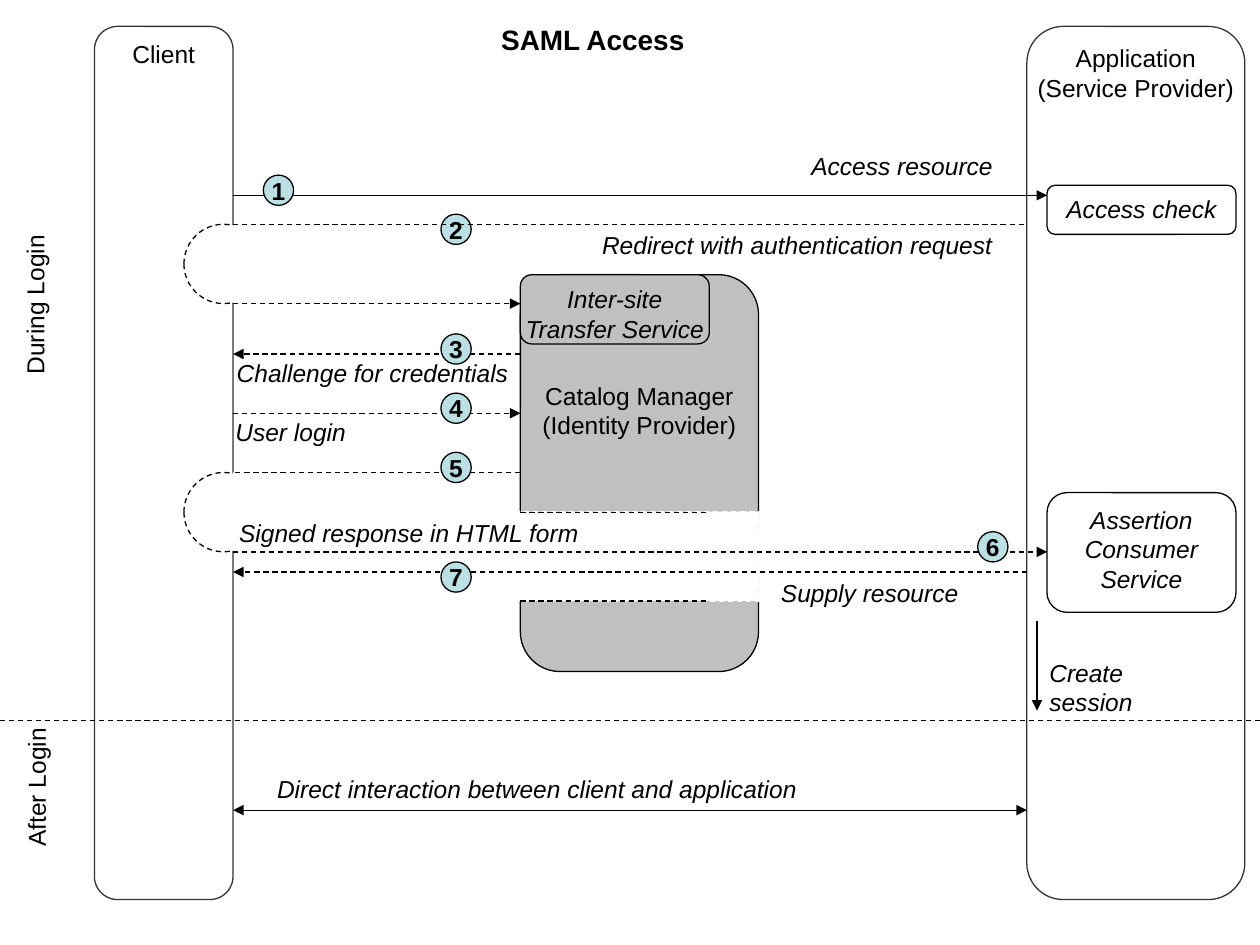
from dataclasses import dataclass

from lxml import etree
from pptx import Presentation
from pptx import util as u
from pptx.dml.color import RGBColor
from pptx.enum import dml, shapes, text
from pptx.oxml import ns


@dataclass(frozen=True)
class Theme:
    font: str = "Arial"
    ink: RGBColor = RGBColor(0x00, 0x00, 0x00)
    panel_edge: RGBColor = RGBColor(0x33, 0x33, 0x33)
    white: RGBColor = RGBColor(0xFF, 0xFF, 0xFF)
    grey: RGBColor = RGBColor(0xC0, 0xC0, 0xC0)
    badge: RGBColor = RGBColor(0xBB, 0xE0, 0xE3)
    body: int = 14
    title: int = 16
    stroke: float = 0.75
    corner: float = 0.167


theme = Theme()
ROUND = shapes.MSO_SHAPE.ROUNDED_RECTANGLE
OVAL = shapes.MSO_SHAPE.OVAL
RECT = shapes.MSO_SHAPE.RECTANGLE
CENTER = text.PP_ALIGN.CENTER

deck = Presentation()
deck.slide_width, deck.slide_height = u.Inches(10), u.Inches(7.5)
page = deck.slides.add_slide(deck.slide_layouts[6])


def add_block(kind, area, lines=(), fill=None, edge=None, dashed=False,
              align=None, anchor=text.MSO_ANCHOR.TOP, top_inset=0.05, **font):
    """Add a preset shape, or a plain text box when kind is None."""
    place = [u.Inches(value) for value in area]
    if kind is None:
        box = page.shapes.add_textbox(*place)
    else:
        box = page.shapes.add_shape(kind, *place)
        box.shadow.inherit = False
        for part, color in ((box.fill, fill), (box.line.fill, edge)):
            if color is None:
                part.background()
            else:
                part.solid()
                part.fore_color.rgb = color
        if edge is not None:
            box.line.width = u.Pt(theme.stroke)
            if dashed:
                box.line.dash_style = dml.MSO_LINE.DASH
        if kind == ROUND:
            box.adjustments[0] = theme.corner
    frame = box.text_frame
    frame_format = {"word_wrap": kind is None, "vertical_anchor": anchor,
                    "margin_top": u.Inches(top_inset)}
    if kind is None:
        frame_format["auto_size"] = text.MSO_AUTO_SIZE.SHAPE_TO_FIT_TEXT
    for name, value in frame_format.items():
        setattr(frame, name, value)
    font_format = {"name": theme.font, "size": u.Pt(theme.body)} | font
    for index, words in enumerate(lines):
        para = frame.paragraphs[0] if index == 0 else frame.add_paragraph()
        para.alignment = align or text.PP_ALIGN.LEFT
        span = para.add_run()
        span.text = words
        span.font.color.rgb = theme.ink
        for name, value in font_format.items():
            setattr(span.font, name, value)
    return box


def add_line(x1, y1, x2, y2, dashed=True, ends=()):
    """Add a line; ends names the arrowheads, headEnd before tailEnd."""
    line = page.shapes.add_connector(
        shapes.MSO_CONNECTOR.STRAIGHT, *[u.Inches(v) for v in (x1, y1, x2, y2)])
    line.line.color.rgb = theme.ink
    line.line.width = u.Pt(theme.stroke)
    if dashed:
        line.line.dash_style = dml.MSO_LINE.DASH
    props = line._element.spPr
    for end in ends:
        etree.SubElement(props.find(ns.qn("a:ln")), ns.qn(f"a:{end}"), type="triangle")
    etree.SubElement(props, ns.qn("a:effectLst"))


# Key columns: client edge, manager edge, application edge, inner boxes
client_x, manager_x, app_x, inner_x = 1.85, 4.13, 8.15, 8.31
inner_width = 1.5
gap_top, gap_bottom = 4.07, 4.77
TAIL = ("tailEnd",)

# Participants
add_block(ROUND, (manager_x, 2.18, 1.89, 3.15),
          ["Catalog Manager", "(Identity Provider)"],
          theme.grey, theme.ink, align=CENTER, top_inset=0.75)
add_block(ROUND, (app_x, 0.21, 1.73, 6.93), ["Application", "(Service Provider)"],
          theme.white, theme.panel_edge, align=CENTER)
add_block(ROUND, (0.75, 0.21, 1.1, 6.93), ["Client"],
          theme.white, theme.panel_edge, align=CENTER)

# Break in the manager panel where messages pass through
add_block(RECT, (4.06, 4.06, 1.97, 0.71), fill=theme.white, edge=theme.white, dashed=True)
for y in (gap_top, gap_bottom):
    add_line(manager_x, y, manager_x + inner_width, y)

# Title, phases and the divider between them
add_block(None, (3.5, 0.13, 2.41, 0.37), ["SAML Access"], align=CENTER,
          anchor=text.MSO_ANCHOR.MIDDLE, size=u.Pt(theme.title), bold=True)
for words, area in (("During Login", (-0.42, 2.2, 1.4, 0.34)),
                    ("After Login", (-0.31, 6.05, 1.2, 0.34))):
    add_block(None, area, [words]).rotation = 270
add_line(0, 5.72, 10, 5.72)

# Client-side redirect loops: open half circles
for y in (1.78, 3.75):
    add_block(OVAL, (1.46, y, 0.63, 0.63), fill=theme.white, edge=theme.ink, dashed=True)
    add_block(RECT, (client_x, y, 0.31, 0.63), fill=theme.white)

# Services inside the participants
for area, lines, fill in (
    ((manager_x, 2.18, inner_width, 0.55), ["Inter-site", "Transfer Service"], theme.grey),
    ((inner_x, 1.47, inner_width, 0.39), ["Access check"], None),
    ((inner_x, 3.91, inner_width, 0.95), ["Assertion", "Consumer", "Service"], None),
):
    add_block(ROUND, area, lines, fill, theme.ink, align=CENTER, italic=True)

# Messages: start, end, height, dashed, arrowheads
for start, end, y, dashed, ends in (
    (client_x, inner_x, 1.55, False, TAIL),
    (client_x, manager_x, 2.41, True, TAIL),
    (manager_x, client_x, 2.81, True, TAIL),
    (client_x, manager_x, 3.28, True, TAIL),
    (manager_x, client_x, 3.75, True, ()),
    (client_x, inner_x, 4.38, True, TAIL),
    (app_x, client_x, 4.54, True, TAIL),
    (client_x, app_x, 6.43, False, ("headEnd", "tailEnd")),
):
    add_line(start, y, end, y, dashed, ends)
add_line(8.23, 4.93, 8.23, 5.64, False, TAIL)

# Message labels: left, top, width
for left, top, width, *lines in (
    (6.34, 1.15, 1.75, "Access resource"),
    (4.68, 1.78, 3.4, "Redirect with authentication request"),
    (1.78, 2.79, 2.45, "Challenge for credentials"),
    (1.77, 3.26, 1.2, "User login"),
    (1.8, 4.06, 3, "Signed response in HTML form"),
    (6.1, 4.54, 1.7, "Supply resource"),
    (8.23, 5.17, 1.36, "Create", "session"),
    (2.1, 6.09, 4.45, "Direct interaction between client and application"),
):
    add_block(None, (left, top, width, 0.11 + 0.23 * len(lines)), lines, italic=True)

# Numbered steps
steps = ((2.09, 1.39), (3.5, 1.7), (3.5, 2.65), (3.5, 3.12),
         (3.5, 3.59), (7.76, 4.22), (3.5, 4.46))
for number, (left, top) in enumerate(steps, 1):
    add_block(OVAL, (left, top, 0.24, 0.24), [str(number)], theme.badge, theme.ink,
              align=CENTER, anchor=text.MSO_ANCHOR.MIDDLE, bold=True)

# The redirect line runs over its step number
add_line(client_x, 1.78, app_x, 1.78)

deck.save("out.pptx")
